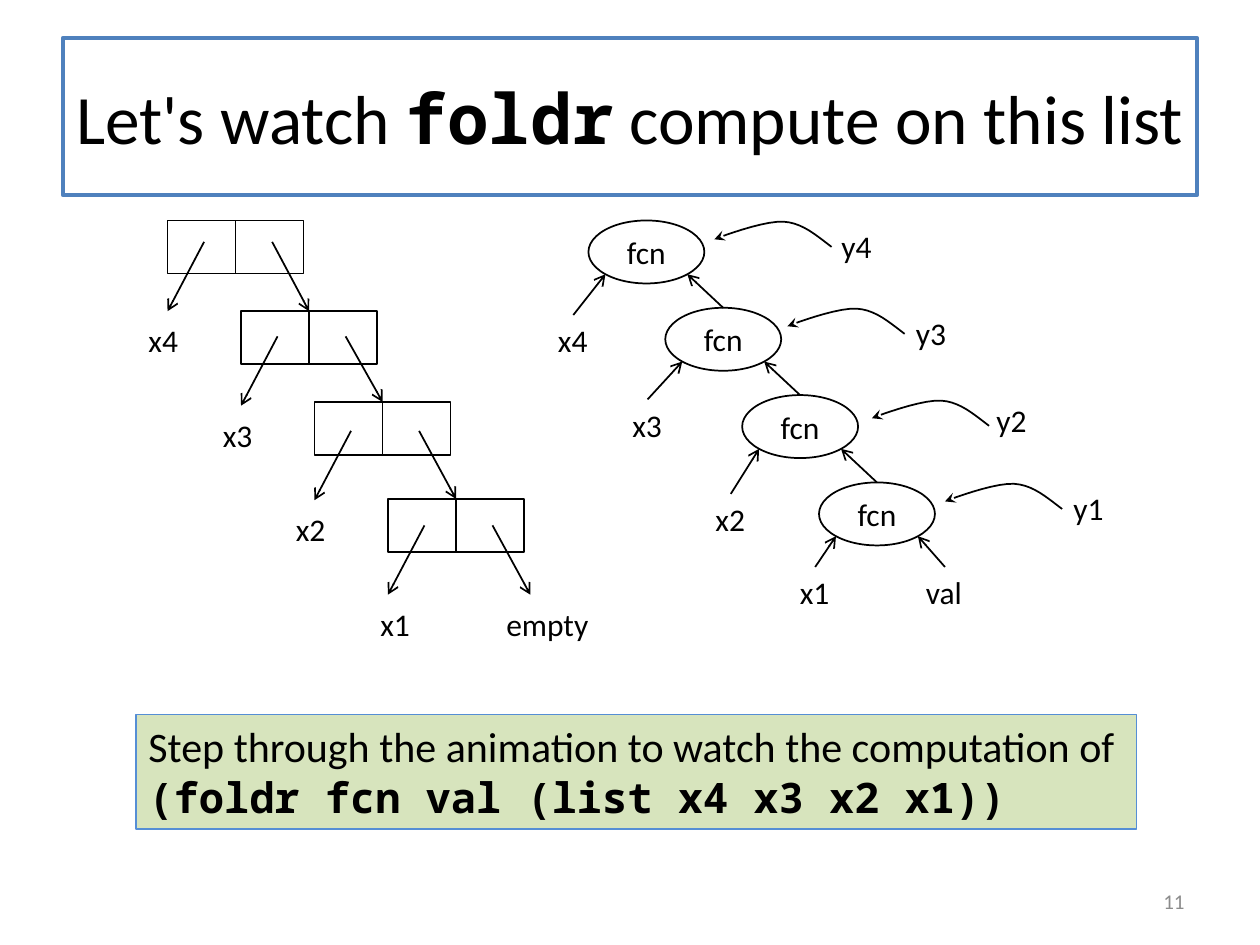
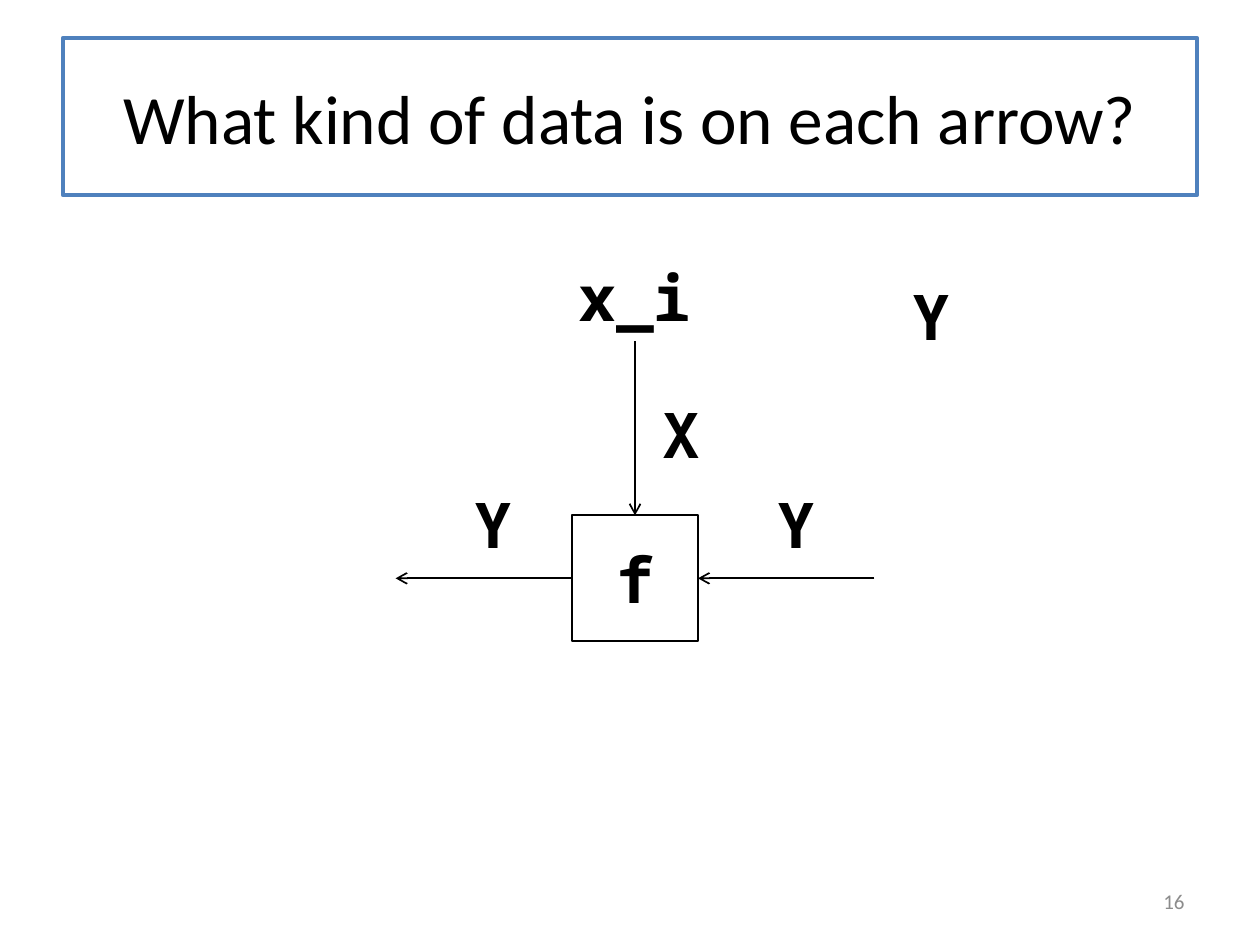
from dataclasses import dataclass
from math import sqrt

from lxml import etree
from pptx import Presentation
from pptx.dml.color import RGBColor
from pptx.enum.shapes import MSO_CONNECTOR, MSO_SHAPE
from pptx.enum.text import MSO_ANCHOR, PP_ALIGN
from pptx.oxml.ns import qn
from pptx.util import Inches, Pt

STRAIGHT = MSO_CONNECTOR.STRAIGHT
RECT, OVAL = MSO_SHAPE.RECTANGLE, MSO_SHAPE.OVAL
LEFT, CENTER, RIGHT = PP_ALIGN.LEFT, PP_ALIGN.CENTER, PP_ALIGN.RIGHT
TOP, MIDDLE = MSO_ANCHOR.TOP, MSO_ANCHOR.MIDDLE
SITE_TOP, SITE_LEFT, SITE_BOTTOM, SITE_RIGHT = range(4)


@dataclass(frozen=True)
class Theme:
    body_font: str = "Calibri"
    code_font: str = "Noto Sans Mono"
    ink: str = "000000"
    paper: str = "FFFFFF"
    frame: str = "4F81BD"
    note_fill: str = "D7E4BD"
    note_line: str = "558ED5"
    muted: str = "8C8C8C"
    title: float = 39.6
    symbol: float = 36
    note: float = 24
    label: float = 18
    footer: float = 12
    thin: float = 1
    thick: float = 2.25


THEME = Theme()

FOLD_TITLE = [("Let's watch ", False), ("foldr", True), (" compute on this list", False)]
ARROW_TITLE = [("What kind of data is on each arrow?", False)]
NOTE = [
    [("Step through the animation to watch the computation of", False)],
    [("(foldr fcn val (list x4 x3 x2 x1))", True)],
]

CELL_W, CELL_H = 1.08, 0.42
CELL_X, CELL_DX = 1.33, 0.583
CELL_TOPS = (1.75, 2.47, 3.19, 3.96)
POINTER_Y, POINTER_DY, POINTER_DROP = 1.92, 0.75, 0.55
ITEM_LABELS = [("x4", 1.08), ("x3", 1.67), ("x2", 2.25), ("x1", 2.92)]
LIST_END = ("empty", 3.92)

CALL_W, CALL_H = 0.92, 0.5
CALL_X, CALL_Y, CALL_DX, CALL_DY = 4.67, 1.75, 0.61, 0.693
ARGUMENTS = [("x4", 4.33, 2.5), ("x3", 4.92, 3.17), ("x2", 5.58, 3.92), ("x1", 6.25, 4.5)]
BASE_VALUE = ("val", 7.25, 4.5)
RESULTS = [("y4", 6.58), ("y3", 7.17), ("y2", 7.81), ("y1", 8.42)]
SWOOP_ORIGINS = [(5.67, 1.75), (6.25, 2.44), (6.92, 3.17), (7.5, 3.83)]
SWOOP = [
    ((0.93, 0.21), (0.81, 0.12), (0.7, 0.02), (0.55, 0.01)),
    ((0.55, 0.01), (0.39, 0), (0.02, 0.14), (0, 0.15)),
]
SWOOP_STEPS = 10

BOX_X, BOX_Y, BOX_SIDE = 4.54, 4.09, 1
ARROW_LENGTH, INPUT_TOP = 1.4, 2.71
TYPE_LABELS = [("X", 5.04, 3.09), ("Y", 3.55, 3.8), ("Y", 5.95, 3.8), ("Y", 7.02, 2.15)]


def color(value):
    return RGBColor.from_string(value)


def write(shape, paragraphs, size, align=LEFT, anchor=TOP, wrap=True, ink=THEME.ink):
    frame = shape.text_frame
    frame.word_wrap = wrap
    frame.vertical_anchor = anchor
    for index, parts in enumerate(paragraphs):
        paragraph = frame.add_paragraph() if index else frame.paragraphs[0]
        paragraph.alignment = align
        for text, is_code in parts:
            run = paragraph.add_run()
            run.text = text
            run.font.size = Pt(size)
            run.font.name = THEME.code_font if is_code else THEME.body_font
            run.font.bold = is_code
            run.font.color.rgb = color(ink)


def add_label(slide, text, x, y, w=0.44, h=0.4, size=THEME.label, code=False, **style):
    box = slide.shapes.add_textbox(*map(Inches, (x, y, w, h)))
    write(box, [[(text, code)]], size, **style)


def add_box(slide, kind, x, y, w, h, fill=None, line=THEME.ink, weight=THEME.thin):
    shape = slide.shapes.add_shape(kind, *map(Inches, (x, y, w, h)))
    shape.shadow.inherit = False
    if fill:
        shape.fill.solid()
        shape.fill.fore_color.rgb = color(fill)
    else:
        shape.fill.background()
    shape.line.color.rgb = color(line)
    shape.line.width = Pt(weight)
    return shape


def add_tip(shape, kind):
    etree.SubElement(shape.line._get_or_add_ln(), qn("a:tailEnd"), type=kind)


def add_line(slide, start, end, begin_at=None, end_at=None, tip="arrow"):
    line = slide.shapes.add_connector(STRAIGHT, *map(Inches, (*start, *end)))
    line.line.color.rgb = color(THEME.ink)
    line.line.width = Pt(THEME.thin)
    etree.SubElement(line._element.spPr, qn("a:effectLst"))
    if begin_at:
        line.begin_connect(*begin_at)
    if end_at:
        line.end_connect(*end_at)
    if tip:
        add_tip(line, tip)


def bezier(points, t):
    weights = ((1 - t) ** 3, 3 * t * (1 - t) ** 2, 3 * t * t * (1 - t), t ** 3)
    return tuple(sum(w * p[axis] for w, p in zip(weights, points)) for axis in (0, 1))


def add_swoop(slide, x, y):
    steps = [step / SWOOP_STEPS for step in range(1, SWOOP_STEPS + 1)]
    track = [SWOOP[0][0]] + [bezier(curve, t) for curve in SWOOP for t in steps]
    points = [(Inches(x + dx), Inches(y + dy)) for dx, dy in track]
    builder = slide.shapes.build_freeform(*points[0])
    builder.add_line_segments(points[1:], close=False)
    swoop = builder.convert_to_shape()
    swoop.shadow.inherit = False
    swoop.fill.background()
    swoop.line.color.rgb = color(THEME.ink)
    swoop.line.width = Pt(THEME.thin)
    add_tip(swoop, "stealth")


def start_slide(deck, title, number):
    slide = deck.slides.add_slide(deck.slide_layouts[6])
    banner = add_box(slide, RECT, 0.5, 0.3, 9, 1.25, THEME.paper, THEME.frame, THEME.thick)
    banner.text_frame.margin_left = banner.text_frame.margin_right = Inches(0.05)
    write(banner, [title], THEME.title, CENTER, MIDDLE)
    add_label(slide, number, 7.17, 6.95, 2.33, size=THEME.footer,
              align=RIGHT, anchor=MIDDLE, ink=THEME.muted)
    return slide


def draw_list(slide):
    lefts = [CELL_X + i * CELL_DX for i in range(len(CELL_TOPS))]
    cells = [add_box(slide, RECT, x, y, CELL_W, CELL_H) for x, y in zip(lefts, CELL_TOPS)]
    for i, (cell, x, (item, label_x)) in enumerate(zip(cells, lefts, ITEM_LABELS)):
        y = POINTER_Y + i * POINTER_DY
        bottom = y + POINTER_DROP
        add_line(slide, (0, 0), (0, 0), (cell, SITE_TOP), (cell, SITE_BOTTOM), tip=None)
        add_line(slide, (x + 0.29, y), (x, bottom))
        following = (cells[i + 1], SITE_TOP) if i + 1 < len(cells) else None
        add_line(slide, (x + 0.83, y), (x + 1.13, bottom), end_at=following)
        add_label(slide, item, label_x, bottom + 0.03, wrap=False)
    add_label(slide, LIST_END[0], LIST_END[1], bottom + 0.03, 0.86, wrap=False)


def draw_calls(slide):
    corners = [(CALL_X + i * CALL_DX, CALL_Y + i * CALL_DY) for i in range(len(ARGUMENTS))]
    calls = [add_box(slide, OVAL, x, y, CALL_W, CALL_H) for x, y in corners]
    reach_x, reach_y = CALL_W / sqrt(8), CALL_H / sqrt(8)
    value, value_x, value_y = BASE_VALUE
    for i, (call, (x, y)) in enumerate(zip(calls, corners)):
        argument, arg_x, arg_y = ARGUMENTS[i]
        result, result_x = RESULTS[i]
        center_x, foot_y = x + CALL_W / 2, y + CALL_H / 2 + reach_y
        write(call, [[("fcn", False)]], THEME.label, CENTER, MIDDLE)
        add_line(slide, (arg_x + 0.22, arg_y), (center_x - reach_x, foot_y))
        following = (calls[i + 1], SITE_TOP) if i + 1 < len(calls) else None
        add_line(slide, (value_x + 0.25, value_y), (center_x + reach_x, foot_y), following)
        add_label(slide, argument, arg_x, arg_y, wrap=False)
        add_label(slide, result, result_x, y, wrap=False)
        add_swoop(slide, *SWOOP_ORIGINS[i])
    add_label(slide, value, value_x, value_y, 0.49, wrap=False)


def build_fold(deck):
    slide = start_slide(deck, FOLD_TITLE, "11")
    draw_list(slide)
    draw_calls(slide)
    note = add_box(slide, RECT, 1.08, 5.67, 7.94, 0.91, THEME.note_fill, THEME.note_line)
    write(note, NOTE, THEME.note, wrap=False)


def build_arrows(deck):
    slide = start_slide(deck, ARROW_TITLE, "16")
    function = add_box(slide, RECT, BOX_X, BOX_Y, BOX_SIDE, BOX_SIDE)
    write(function, [[("f", True)]], THEME.symbol, CENTER, MIDDLE)
    middle_x, middle_y = BOX_X + BOX_SIDE / 2, BOX_Y + BOX_SIDE / 2
    right = BOX_X + BOX_SIDE
    add_line(slide, (middle_x, INPUT_TOP), (middle_x, BOX_Y), end_at=(function, SITE_TOP))
    add_line(slide, (BOX_X, middle_y), (BOX_X - ARROW_LENGTH, middle_y),
             begin_at=(function, SITE_LEFT))
    add_line(slide, (right + ARROW_LENGTH, middle_y), (right, middle_y),
             end_at=(function, SITE_RIGHT))
    symbol = dict(h=0.71, size=THEME.symbol, code=True, align=CENTER)
    add_label(slide, "x_i", 4.33, 2, 1.42, anchor=MIDDLE, **symbol)
    for kind, x, y in TYPE_LABELS:
        add_label(slide, kind, x, y, 0.74, **symbol)


def main():
    deck = Presentation()
    deck.slide_width, deck.slide_height = Inches(10), Inches(7.5)
    build_fold(deck)
    build_arrows(deck)
    deck.save("out.pptx")


if __name__ == "__main__":
    main()
